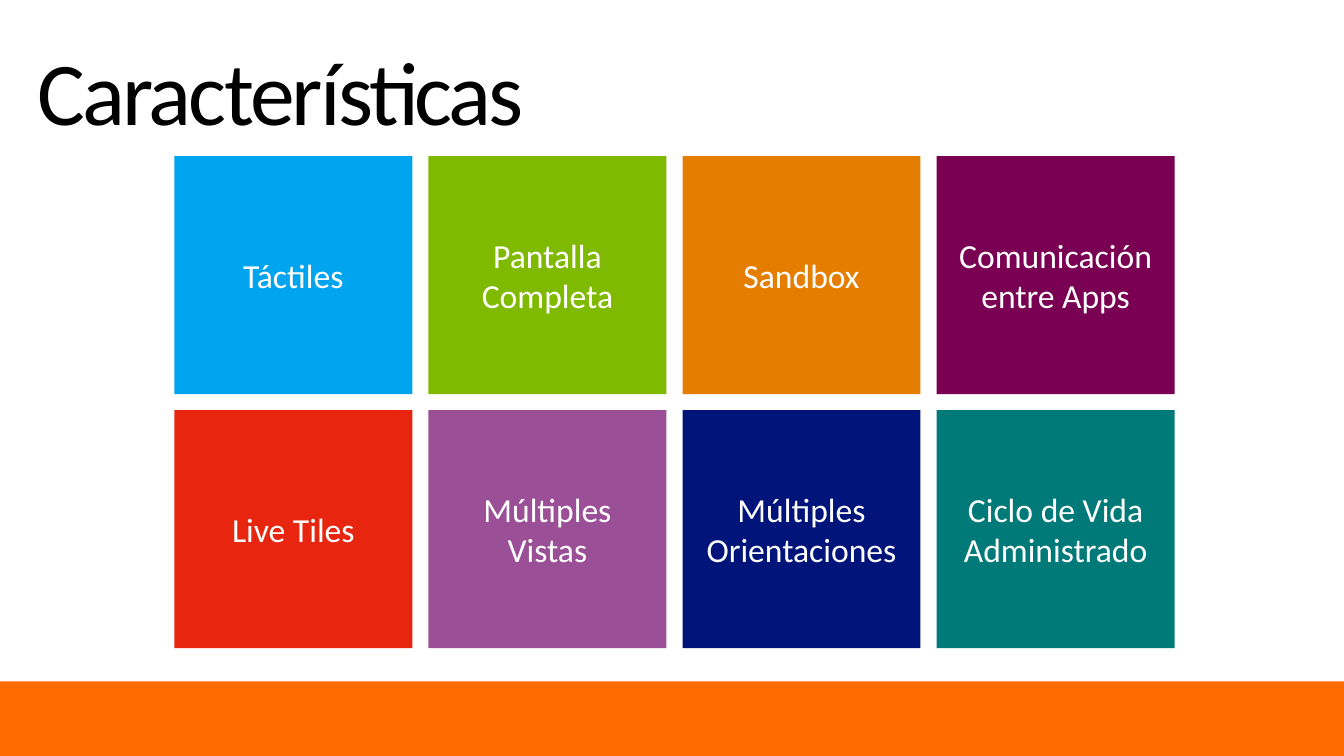
from pptx import Presentation
from pptx.dml.color import RGBColor
from pptx.enum import shapes, text
from pptx.util import Inches, Pt

BLACK = RGBColor(0x00, 0x00, 0x00)
WHITE = RGBColor(0xFF, 0xFF, 0xFF)
BAND_ORANGE = RGBColor(0xFF, 0x6B, 0x00)
BLUE = RGBColor(0x01, 0xA4, 0xEF)
GREEN = RGBColor(0x7F, 0xBA, 0x00)
ORANGE = RGBColor(0xE5, 0x7E, 0x00)
PLUM = RGBColor(0x7A, 0x00, 0x53)
RED = RGBColor(0xE8, 0x25, 0x0F)
PURPLE = RGBColor(0x9B, 0x4F, 0x96)
NAVY = RGBColor(0x00, 0x14, 0x7A)
TEAL = RGBColor(0x00, 0x7A, 0x79)

TITLE_FONT = {"name": "Calibri", "size": Pt(64), "color": BLACK}
TILE_FONT = {"name": "Calibri", "size": Pt(24), "color": WHITE}
TILE_FRAME = {
    "word_wrap": True,
    "vertical_anchor": text.MSO_ANCHOR.MIDDLE,
    "margin_left": Inches(0.13),
    "margin_right": Inches(0.13),
    "margin_top": Inches(0.07),
    "margin_bottom": Inches(0.07),
}
TITLE_FRAME = {
    **TILE_FRAME,
    "auto_size": text.MSO_AUTO_SIZE.NONE,
    "margin_left": Inches(0.07),
    "margin_right": Inches(0.07),
}


def add_block(slide, left, top, width, height, color):
    block = slide.shapes.add_shape(
        shapes.MSO_SHAPE.RECTANGLE,
        Inches(left), Inches(top), Inches(width), Inches(height))
    block.shadow.inherit = False
    block.fill.solid()
    block.fill.fore_color.rgb = color
    block.line.fill.background()
    return block


def write_text(shape, wording, frame_format, font_format, alignment):
    frame = shape.text_frame
    for name, value in frame_format.items():
        setattr(frame, name, value)
    paragraph = frame.paragraphs[0]
    paragraph.alignment = alignment
    run = paragraph.add_run()
    run.text = wording
    for name, value in font_format.items():
        if name == "color":
            run.font.color.rgb = value
        else:
            setattr(run.font, name, value)
    return paragraph


presentation = Presentation()
presentation.slide_width = Inches(13.33)
presentation.slide_height = Inches(7.5)
slide = presentation.slides.add_slide(presentation.slide_layouts[5])

# Bottom band
add_block(slide, 0, 6.76, 13.33, 0.74, BAND_ORANGE)

# Title, with tightened letter spacing
title = slide.shapes.title
title.left, title.top = Inches(0.3), Inches(0.44)
title.width, title.height = Inches(12.63), Inches(1.12)
heading = write_text(title, "Características", TITLE_FRAME, TITLE_FONT,
                     text.PP_ALIGN.LEFT)
heading.line_spacing = 0.75
heading.runs[0].font._element.set("spc", "-200")

# Grid of feature tiles
TILE_SIZE = 2.36
TILE_STEP = 2.52
COLUMNS = 4
features = [
    ("Táctiles", BLUE),
    ("Pantalla Completa", GREEN),
    ("Sandbox", ORANGE),
    ("Comunicación entre Apps", PLUM),
    ("Live Tiles", RED),
    ("Múltiples Vistas", PURPLE),
    ("Múltiples Orientaciones", NAVY),
    ("Ciclo de Vida Administrado", TEAL),
]
for index, (feature, color) in enumerate(features):
    row, column = divmod(index, COLUMNS)
    tile = add_block(slide, 1.73 + column * TILE_STEP, 1.55 + row * TILE_STEP,
                     TILE_SIZE, TILE_SIZE, color)
    write_text(tile, feature, TILE_FRAME, TILE_FONT, text.PP_ALIGN.CENTER)

presentation.save("out.pptx")
